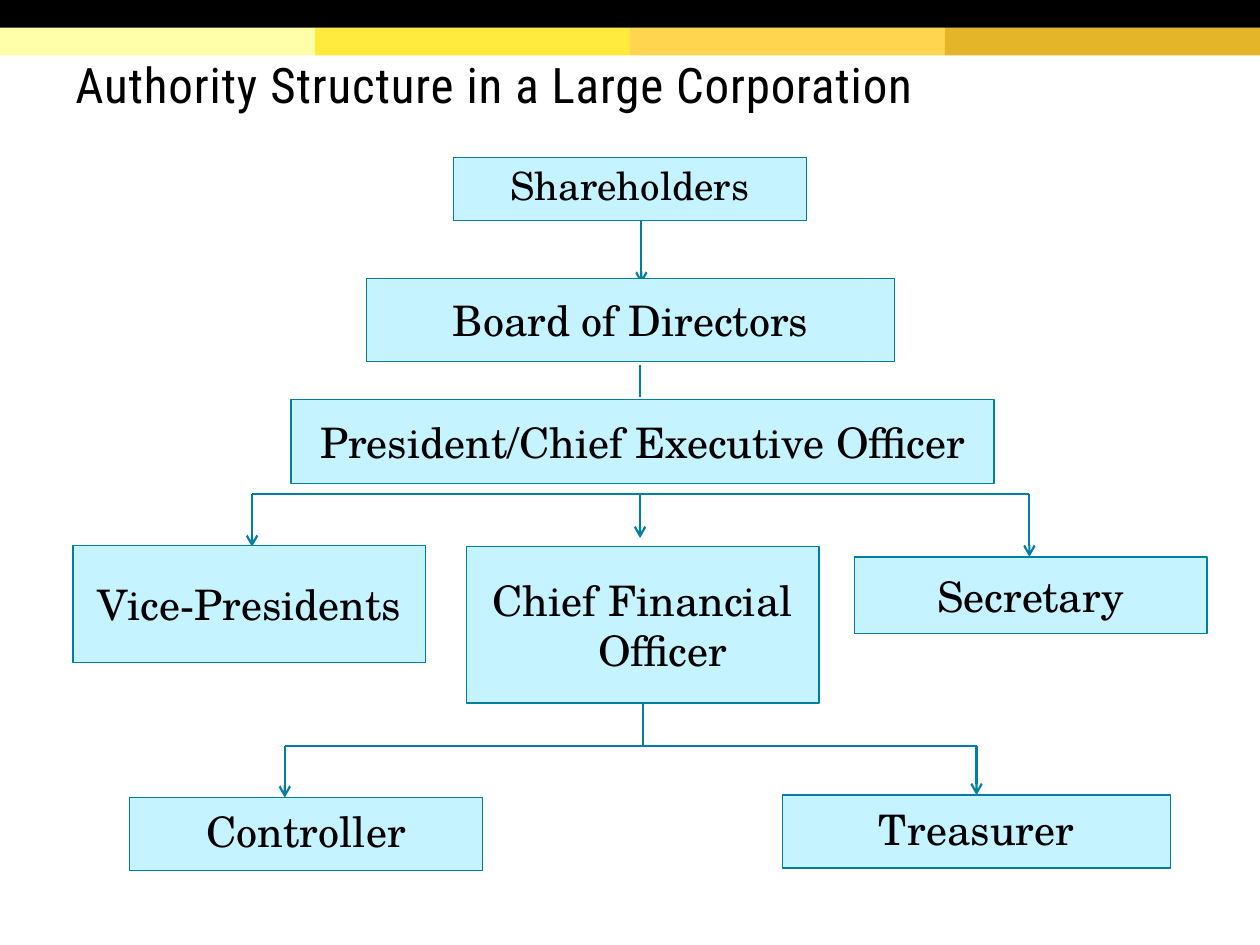
from dataclasses import dataclass

from lxml.etree import SubElement
from pptx import Presentation
from pptx.dml.color import RGBColor
from pptx.enum.shapes import MSO_CONNECTOR, MSO_SHAPE
from pptx.enum.text import MSO_ANCHOR, PP_ALIGN
from pptx.oxml.ns import qn
from pptx.slide import Slide
from pptx.text.text import TextFrame
from pptx.util import Inches, Pt

COLOURS = {
    "text": "000000",
    "box": "C5F3FF",
    "line": "007FA3",
    "top band": "000000",
}
STRIPE_COLOURS = ["FFFFAA", "FFEA3D", "FFD54F", "E4B429"]
SLIDE_WIDTH, SLIDE_HEIGHT = 10, 7.5
BAND_HEIGHT = 0.22
HANGING_INDENT = 0.32
TITLE_FONT, BOX_FONT = "Roboto Condensed", "TeX Gyre Schola"


@dataclass
class Box:
    text: str
    left: float
    top: float
    width: float
    height: float
    size: float = 24
    line_spacing: float = 1.0
    hanging: bool = True


@dataclass
class Link:
    start: tuple[float, float]
    end: tuple[float, float]
    arrow: bool = False


BOXES = [
    Box("Shareholders", 3.6, 1.25, 2.8, 0.5, size=22.2, line_spacing=0.8, hanging=False),
    Box("Board of Directors", 2.91, 2.21, 4.19, 0.66),
    Box("President/Chief Executive Officer", 2.31, 3.17, 5.58, 0.67, hanging=False),
    Box("Vice-Presidents", 0.58, 4.33, 2.8, 0.93),
    Box("Chief Financial Officer", 3.7, 4.34, 2.8, 1.24),
    Box("Secretary", 6.78, 4.42, 2.8, 0.61),
    Box("Controller", 1.03, 6.33, 2.8, 0.58, line_spacing=0.9),
    Box("Treasurer", 6.21, 6.31, 3.08, 0.58, line_spacing=0.9),
]

LINKS = [
    Link((5.09, 1.75), (5.09, 2.25), arrow=True),
    Link((5.08, 2.9), (5.08, 3.15)),
    Link((2, 3.92), (8.17, 3.92)),
    Link((2, 3.92), (2, 4.34), arrow=True),
    Link((5.08, 3.92), (5.08, 4.27), arrow=True),
    Link((8.17, 3.92), (8.17, 4.42), arrow=True),
    Link((5.1, 5.58), (5.1, 5.92)),
    Link((2.26, 5.92), (7.75, 5.92)),
    Link((2.26, 5.92), (2.26, 6.33), arrow=True),
    Link((7.75, 5.92), (7.75, 6.31), arrow=True),
]


def colour(name: str) -> RGBColor:
    return RGBColor.from_string(COLOURS[name])


def apply_format(target: object, values: dict) -> None:
    for name, value in values.items():
        setattr(target, name, value)


def write_text(frame: TextFrame, text: str, font: dict, paragraph_format: dict,
               bottom_margin: float = 0.1):
    """Fill a middle-anchored frame with one paragraph and return the paragraph."""
    apply_format(frame, {
        "word_wrap": True,
        "vertical_anchor": MSO_ANCHOR.MIDDLE,
        "margin_left": Inches(0.1),
        "margin_right": Inches(0.1),
        "margin_top": Inches(0.1),
        "margin_bottom": Inches(bottom_margin),
    })
    paragraph = frame.paragraphs[0]
    apply_format(paragraph, paragraph_format)
    run = paragraph.add_run()
    run.text = text
    apply_format(run.font, font)
    run.font.color.rgb = colour("text")
    return paragraph


def add_rectangle(slide: Slide, left: float, top: float, width: float, height: float,
                  fill: RGBColor):
    shape = slide.shapes.add_shape(
        MSO_SHAPE.RECTANGLE, Inches(left), Inches(top), Inches(width), Inches(height))
    shape.shadow.inherit = False
    shape.fill.solid()
    shape.fill.fore_color.rgb = fill
    shape.line.fill.background()
    return shape


def add_header(slide: Slide) -> None:
    stripe_width = SLIDE_WIDTH / len(STRIPE_COLOURS)
    for index, stripe in enumerate(STRIPE_COLOURS):
        add_rectangle(slide, index * stripe_width, BAND_HEIGHT, stripe_width, BAND_HEIGHT,
                      RGBColor.from_string(stripe))
    add_rectangle(slide, 0, 0, SLIDE_WIDTH, BAND_HEIGHT, colour("top band"))


def add_title(slide: Slide, text: str) -> None:
    shape = slide.shapes.add_textbox(Inches(0.5), Inches(0.33), Inches(9), Inches(0.69))
    paragraph = write_text(
        shape.text_frame, text, {"name": TITLE_FONT, "size": Pt(28)},
        {"alignment": PP_ALIGN.LEFT, "line_spacing": 0.85}, bottom_margin=0.05)
    paragraph.runs[0].font._element.set("spc", "50")


def add_box(slide: Slide, box: Box) -> None:
    shape = add_rectangle(slide, box.left, box.top, box.width, box.height, colour("box"))
    shape.line.color.rgb = colour("line")
    shape.line.width = Pt(0.75)
    paragraph = write_text(
        shape.text_frame, box.text, {"name": BOX_FONT, "size": Pt(box.size)},
        {"alignment": PP_ALIGN.CENTER, "line_spacing": box.line_spacing,
         "space_before": Pt(8), "space_after": Pt(8)})
    if box.hanging:
        properties = paragraph._p.get_or_add_pPr()
        properties.set("marL", str(Inches(HANGING_INDENT)))
        properties.set("indent", str(-Inches(HANGING_INDENT)))


def add_link(slide: Slide, link: Link) -> None:
    points = [Inches(value) for value in (*link.start, *link.end)]
    connector = slide.shapes.add_connector(MSO_CONNECTOR.STRAIGHT, *points)
    connector.line.color.rgb = colour("line")
    connector.line.width = Pt(1.25)
    if link.arrow:
        SubElement(connector.line._get_or_add_ln(), qn("a:tailEnd"), type="arrow")
    SubElement(connector._element.spPr, qn("a:effectLst"))


def main() -> None:
    presentation = Presentation()
    presentation.slide_width = Inches(SLIDE_WIDTH)
    presentation.slide_height = Inches(SLIDE_HEIGHT)
    slide = presentation.slides.add_slide(presentation.slide_layouts[6])
    add_header(slide)
    add_title(slide, "Authority Structure in a Large Corporation")
    for link in LINKS:
        add_link(slide, link)
    for box in BOXES:
        add_box(slide, box)
    presentation.save("out.pptx")


if __name__ == "__main__":
    main()
